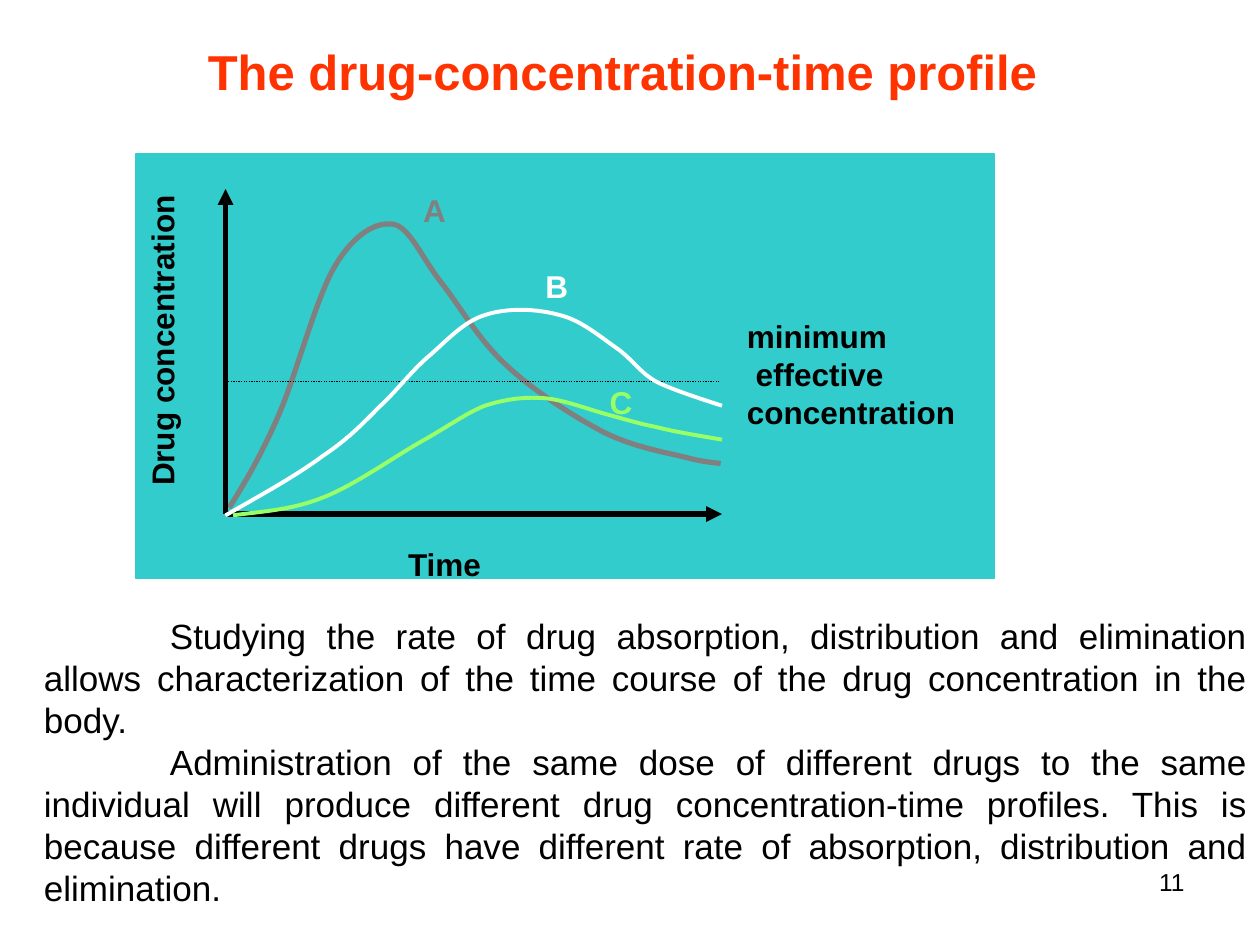
from lxml.etree import SubElement
from pptx import Presentation
from pptx.dml.color import RGBColor
from pptx.enum.dml import MSO_LINE
from pptx.enum.shapes import MSO_CONNECTOR, MSO_SHAPE
from pptx.enum.text import MSO_AUTO_SIZE, PP_ALIGN
from pptx.oxml.ns import qn
from pptx.util import Pt

PX = 9144


class Theme:
    """Colours, type sizes and line widths of the slide."""
    font = "Arial"
    ink, panel, heading = "000000", "33CCCC", "FF3300"
    drug_a, drug_b, drug_c = "808080", "FFFFFF", "99FF66"
    title_size, body_size, label_size, number_size = Pt(28), Pt(20), Pt(18), Pt(14)
    thick, medium, thin = Pt(3), Pt(2.25), Pt(0.75)


CURVE_A = [
    (74, 281), (87, 260), (99, 240), (113, 208), (127, 176), (143, 114), (158, 89),
    (173, 64), (190, 54), (204, 56), (217, 58), (227, 83), (242, 102),
    (257, 121), (272, 148), (294, 168), (315, 188), (348, 209), (371, 221),
    (395, 233), (420, 237), (436, 241), (451, 245), (458, 245), (464, 246),
]
CURVE_B = [
    (71, 287), (99, 271), (128, 255), (148, 240), (169, 226), (180, 214), (194, 200),
    (208, 187), (218, 173), (232, 161), (246, 149), (260, 133), (277, 128),
    (295, 122), (318, 123), (336, 128), (353, 132), (368, 145), (381, 154),
    (394, 163), (399, 173), (413, 181), (427, 188), (456, 197), (465, 200),
]
CURVE_C = [
    (77, 287), (99, 284), (123, 283), (148, 273), (174, 263), (207, 239), (229, 227),
    (250, 215), (262, 206), (277, 200), (293, 195), (306, 193), (323, 194),
    (339, 195), (359, 203), (374, 207), (389, 211), (398, 214), (413, 217),
    (428, 221), (454, 225), (465, 227),
]
PARAGRAPHS = [
    "Studying the rate of drug absorption, distribution and elimination allows "
    "characterization of the time course of the drug concentration in the body.",
    "Administration of the same dose of different drugs to the same individual will "
    "produce different drug concentration-time profiles. This is because different "
    "drugs have different rate of absorption, distribution and elimination.",
]


def set_values(target, values):
    """Set each named attribute of the target."""
    for name, value in values.items():
        setattr(target, name, value)


def add_text(page, box, lines, size, color=Theme.ink, bold=False,
             align=PP_ALIGN.LEFT, wrap=True, indent=0):
    """Add a text box with one paragraph for each line."""
    shape = page.shapes.add_textbox(*(value * PX for value in box))
    frame = shape.text_frame
    set_values(frame, {"word_wrap": wrap, "auto_size": MSO_AUTO_SIZE.SHAPE_TO_FIT_TEXT})
    for index, line in enumerate(lines):
        para = frame.add_paragraph() if index else frame.paragraphs[0]
        para.alignment = align
        if indent:
            para._p.get_or_add_pPr().set("indent", str(indent * PX))
        span = para.add_run()
        span.text = line
        set_values(span.font, {"name": Theme.font, "size": size, "bold": bold})
        span.font.color.rgb = RGBColor.from_string(color)
    return shape


def style_line(shape, color, width):
    """Give the shape a solid line."""
    shape.line.color.rgb = RGBColor.from_string(color)
    shape.line.width = width


def add_line(page, box, start, end, width, arrow=False):
    """Add a straight line inside the box: an axis with an arrow, or a dotted level."""
    left, top = box[:2]
    ends = [value * PX for x, y in (start, end) for value in (left + x, top + y)]
    line = page.shapes.add_connector(MSO_CONNECTOR.STRAIGHT, *ends)
    style_line(line, Theme.ink, width)
    properties = line._element.spPr
    if arrow:
        SubElement(properties.find(qn("a:ln")), qn("a:tailEnd"), type="triangle")
    else:
        line.line.dash_style = MSO_LINE.ROUND_DOT
    SubElement(properties, qn("a:effectLst"))


def add_curve(page, box, points, color, width):
    """Add an open Bézier curve: a start, then two handles and an end per segment."""
    left, top = box[:2]
    start, *rest = [(left + x, top + y) for x, y in points]
    builder = page.shapes.build_freeform(*start, scale=PX)
    builder.add_line_segments(rest, close=False)
    curve = builder.convert_to_shape()
    outline = next(curve._element.iter(qn("a:path")))
    steps = outline.findall(qn("a:lnTo"))
    for first in range(0, len(steps), 3):
        segment = SubElement(outline, qn("a:cubicBezTo"))
        for step in steps[first:first + 3]:
            segment.append(step[0])
            outline.remove(step)
    curve.fill.background()
    curve.shadow.inherit = False
    style_line(curve, color, width)


def add_profile(page, box):
    """Draw the concentration-time panel in the box."""
    left, top = box[:2]
    panel = page.shapes.add_shape(MSO_SHAPE.RECTANGLE, *(value * PX for value in box))
    panel.shadow.inherit = False
    panel.fill.solid()
    panel.fill.fore_color.rgb = RGBColor.from_string(Theme.panel)
    style_line(panel, Theme.panel, Theme.thin)

    def label(x, y, width, height, lines, color=Theme.ink, wrap=False):
        """Add a bold label at a place in the panel."""
        return add_text(page, (left + x, top + y, width, height), lines,
                        Theme.label_size, color, bold=True, wrap=wrap)

    add_curve(page, box, CURVE_A, Theme.drug_a, Theme.thick)
    origin = (71, 286)
    for tip in ((71, 28), (465, 286)):
        add_line(page, box, origin, tip, Theme.thick, arrow=True)
    label(-105, 128, 251, 40, ["Drug concentration"]).rotation = 270
    label(206, 306, 79, 40, ["Time"])
    add_line(page, box, (71, 181), (464, 181), Theme.thin)
    add_curve(page, box, CURVE_B, Theme.drug_b, Theme.medium)
    add_curve(page, box, CURVE_C, Theme.drug_c, Theme.medium)
    label(475, 125, 185, 100, ["minimum", " effective", "concentration"], wrap=True)
    for letter, x, y, color in (("A", 218, 25, Theme.drug_a),
                                ("B", 315, 85, Theme.drug_b),
                                ("C", 366, 177, Theme.drug_c)):
        label(x, y, 38, 40, [letter], color)


def main():
    """Build and save the slide."""
    deck = Presentation()
    set_values(deck, {"slide_width": 1000 * PX, "slide_height": 750 * PX})
    page = deck.slides.add_slide(deck.slide_layouts[6])
    add_text(page, (717, 683, 233, 52), ["11"], Theme.number_size, align=PP_ALIGN.RIGHT)
    add_profile(page, (108, 122, 681, 337))
    add_text(page, (50, 28, 888, 57), ["The drug-concentration-time profile"],
             Theme.title_size, Theme.heading, bold=True, align=PP_ALIGN.CENTER)
    add_text(page, (25, 483, 975, 243), PARAGRAPHS, Theme.body_size,
             align=PP_ALIGN.JUSTIFY, indent=100)
    deck.save("out.pptx")


if __name__ == "__main__":
    main()
